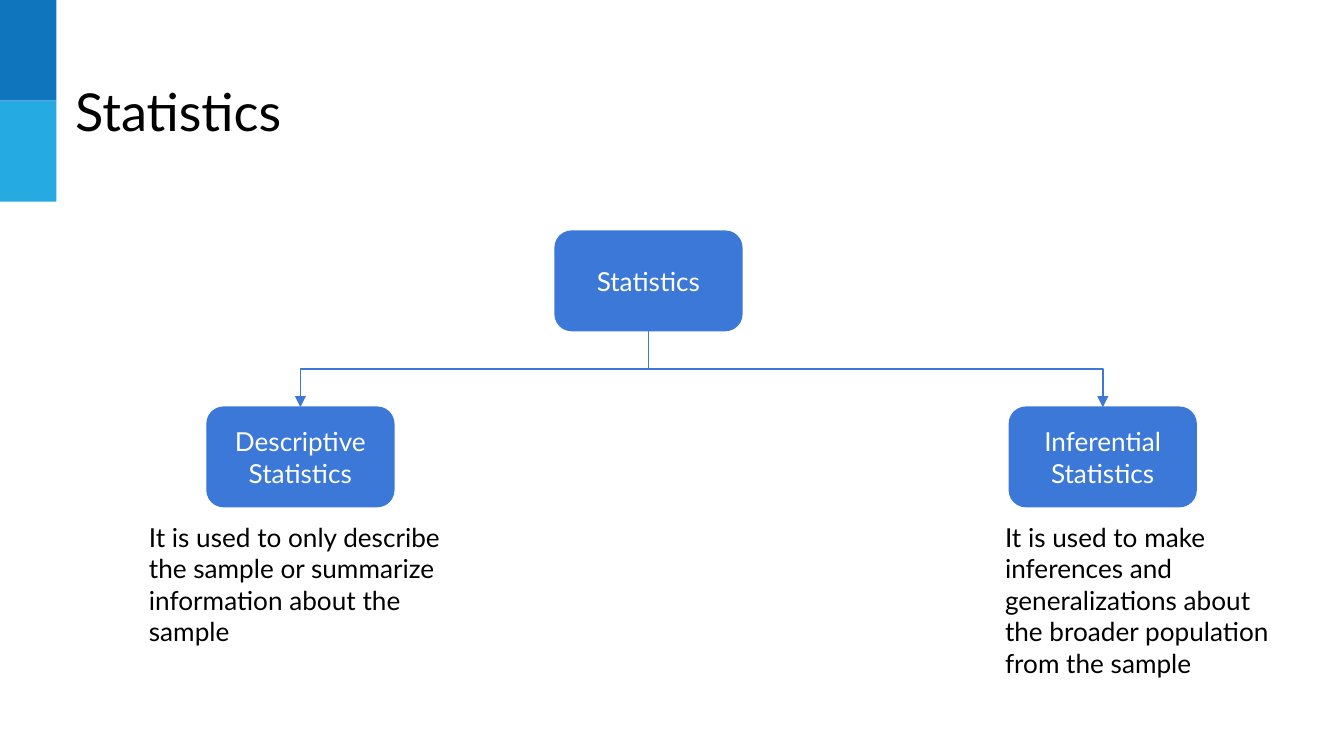
from lxml.etree import SubElement
from pptx import Presentation
from pptx.dml.color import RGBColor
from pptx.enum.shapes import MSO_CONNECTOR, MSO_SHAPE
from pptx.enum.text import MSO_ANCHOR, MSO_AUTO_SIZE, PP_ALIGN
from pptx.oxml.ns import qn
from pptx.util import Inches, Pt

TITLE = "Statistics"
BANDS = ["0F75BD", "25AAE2"]
ROOT = ("Statistics", 4.13, 1.72)
BRANCHES = [
    {
        "name": "Descriptive Statistics",
        "left": 1.54,
        "note": "It is used to only describe the sample or summarize information about the sample",
        "note_area": (1.01, 3.78, 2.46, 1.17),
    },
    {
        "name": "Inferential Statistics",
        "left": 7.51,
        "note": "It is used to make inferences and generalizations about the broader population from the sample",
        "note_area": (7.38, 3.78, 2.24, 1.49),
    },
]
BRANCH_TOP = 3.03
NODE_WIDTH, NODE_HEIGHT = 1.39, 0.74
BAND_WIDTH, BAND_HEIGHT = 0.42, 0.75
BLUE, WHITE, BLACK = "3C78D8", "FFFFFF", "000000"


def paint(color_format, value):
    color_format.rgb = RGBColor.from_string(value)


def fill_shape(shape, value):
    shape.shadow.inherit = False
    shape.fill.solid()
    paint(shape.fill.fore_color, value)


def write(shape, text, size, color, align=PP_ALIGN.LEFT, anchor=MSO_ANCHOR.TOP):
    frame = shape.text_frame
    frame.text = text
    frame.word_wrap = True
    frame.auto_size = MSO_AUTO_SIZE.NONE
    frame.vertical_anchor = anchor
    frame.margin_left = frame.margin_right = Inches(0.1)
    frame.margin_top = frame.margin_bottom = Inches(0.1)
    para = frame.paragraphs[0]
    para.alignment = align
    for span in para.runs:
        span.font.name = "Lato"
        span.font.size = Pt(size)
        paint(span.font.color, color)


def add_node(page, name, left, top):
    node = page.shapes.add_shape(
        MSO_SHAPE.ROUNDED_RECTANGLE,
        *map(Inches, (left, top, NODE_WIDTH, NODE_HEIGHT)),
    )
    node.adjustments[0] = 0.167
    fill_shape(node, BLUE)
    paint(node.line.color, BLUE)
    node.line.width = Pt(0.75)
    write(node, name, 14, WHITE, PP_ALIGN.CENTER, MSO_ANCHOR.MIDDLE)
    return node


def add_branch_arrow(page, parent, child):
    arrow = page.shapes.add_connector(MSO_CONNECTOR.ELBOW, 0, 0, 0, 0)
    arrow.begin_connect(parent, 2)
    arrow.end_connect(child, 0)
    start = parent.left + parent.width // 2
    end = child.left + child.width // 2
    upper = parent.top + parent.height
    drop, reach = child.top - upper, abs(end - start)
    arrow.left = (start + end - drop) // 2
    arrow.top = upper + (drop - reach) // 2
    arrow.width, arrow.height = drop, reach
    properties = arrow.element.spPr
    transform = properties.find(qn("a:xfrm"))
    transform.flipH = end > start
    transform.flipV = False
    transform.rot = 270 if end > start else 90
    paint(arrow.line.color, BLUE)
    arrow.line.width = Pt(0.75)
    SubElement(properties.find(qn("a:ln")), qn("a:tailEnd"), type="triangle")
    SubElement(properties, qn("a:effectLst"))


def main():
    deck = Presentation()
    deck.slide_width = Inches(10)
    deck.slide_height = deck.slide_width * 9 // 16
    page = deck.slides.add_slide(deck.slide_layouts[5])

    for index, color in enumerate(BANDS):
        band = page.shapes.add_shape(
            MSO_SHAPE.RECTANGLE,
            *map(Inches, (0, index * BAND_HEIGHT, BAND_WIDTH, BAND_HEIGHT)),
        )
        fill_shape(band, color)
        band.line.fill.background()

    title = page.shapes.title
    title.left, title.top, title.width, title.height = map(Inches, (0.46, 0.49, 7.37, 0.63))
    write(title, TITLE, 28, BLACK)

    root = add_node(page, *ROOT)
    for branch in BRANCHES:
        node = add_node(page, branch["name"], branch["left"], BRANCH_TOP)
        add_branch_arrow(page, root, node)
        note = page.shapes.add_textbox(*map(Inches, branch["note_area"]))
        write(note, branch["note"], 14, BLACK)

    deck.save("out.pptx")


if __name__ == "__main__":
    main()
